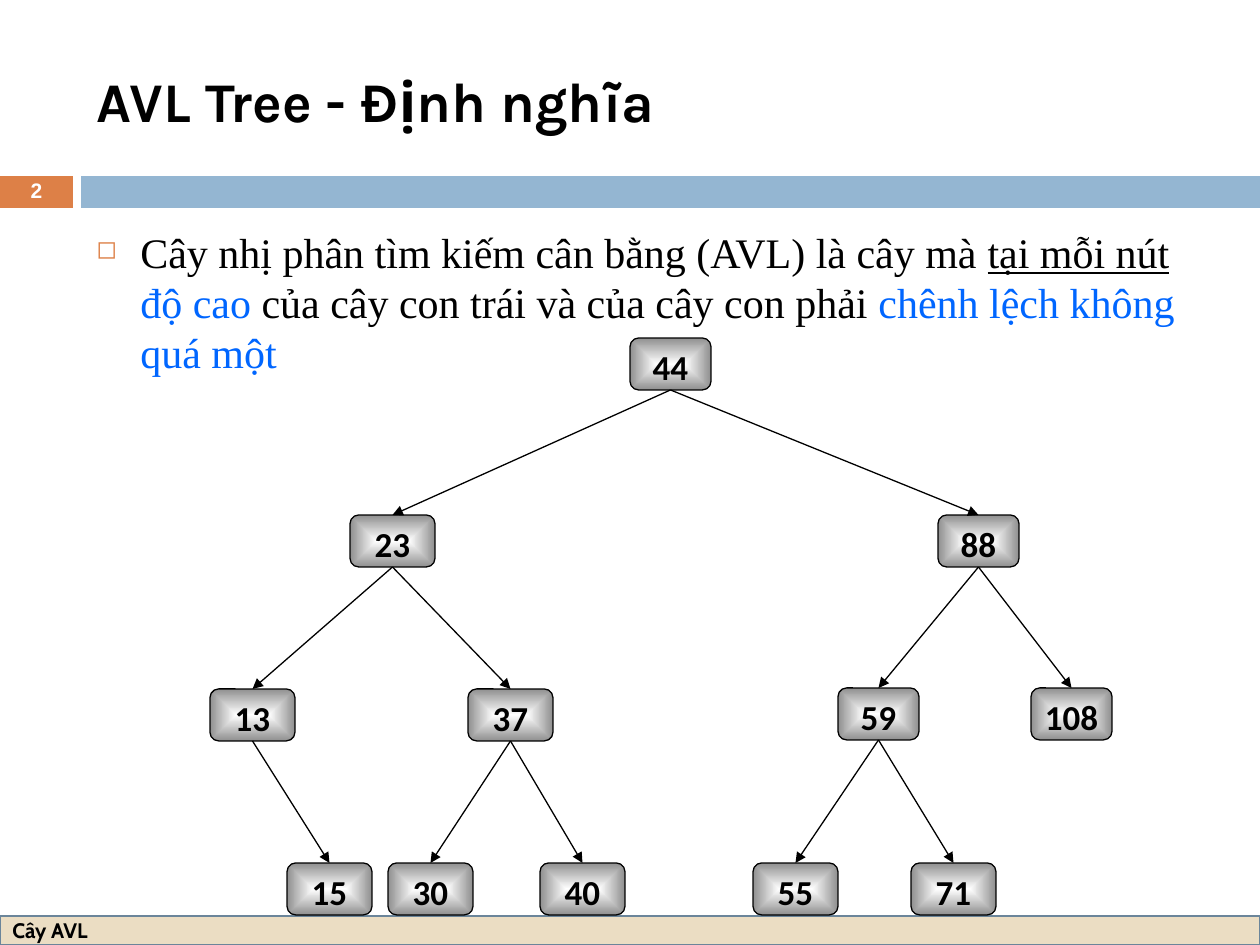
from dataclasses import dataclass

from lxml import etree
from pptx import Presentation, util as u
from pptx.dml.color import RGBColor
from pptx.enum import shapes, text
from pptx.oxml.ns import qn


@dataclass(frozen=True)
class Theme:
    """Colours, fonts and type sizes of the deck."""
    orange: str = "DD8047"
    blue: str = "94B6D2"
    sand: str = "EBDDC3"
    sand_edge: str = "6B859A"
    ink: str = "000000"
    accent: str = "0066FF"
    white: str = "FFFFFF"
    node_edge: str = "8F8F8F"
    title: tuple = ("Karla", 32, True)
    body: tuple = ("Times New Roman", 24, False)
    node: tuple = ("Calibri", 20, True)
    footer: tuple = ("Cabin", 12, True)
    number: tuple = ("Arial", 12, True)


THEME = Theme()
SCALE = 914400 / 126
NODE_HEIGHT = 52
NODES = {
    "44": (630, 338, 81),
    "23": (350, 515, 85), "88": (938, 515, 81),
    "13": (210, 689, 85), "37": (468, 689, 85),
    "59": (838, 688, 81), "108": (1031, 688, 81),
    "15": (287, 863, 85), "30": (388, 863, 85), "40": (540, 863, 85),
    "55": (753, 863, 85), "71": (911, 863, 85),
}
CHILDREN = {
    "44": ("23", "88"), "23": ("13", "37"), "88": ("59", "108"),
    "13": ("15",), "37": ("30", "40"), "59": ("55", "71"),
}
DEFINITION = [
    ("Cây nhị phân tìm kiếm cân bằng (AVL) là cây mà ", THEME.ink, False),
    ("tại mỗi nút", THEME.ink, True),
    (" ", THEME.ink, False),
    ("độ cao ", THEME.accent, False),
    ("của cây con trái và của cây con phải ", THEME.ink, False),
    ("chênh lệch không quá một", THEME.accent, False),
]


def px(*lengths):
    """Turn pixel lengths into EMU."""
    return [u.Emu(round(length * SCALE)) for length in lengths]


def rgb(color):
    """Return the colour object of a hex string."""
    return RGBColor.from_string(color)


def add_run(paragraph, words, style, color, underline=False):
    """Add one styled run to a paragraph."""
    run = paragraph.add_run()
    run.text = words
    run.font.name, size, run.font.bold = style
    run.font.size = u.Pt(size)
    run.font.color.rgb = rgb(color)
    if underline:
        run.font.underline = True


def add_block(slide, box, fill=None, edge=None, weight=0.75,
              kind=shapes.MSO_SHAPE.RECTANGLE):
    """Add a flat preset shape with an optional fill and outline."""
    block = slide.shapes.add_shape(kind, *px(*box))
    block.shadow.inherit = False
    if fill:
        block.fill.solid()
        block.fill.fore_color.rgb = rgb(fill)
    if edge:
        block.line.color.rgb = rgb(edge)
        block.line.width = u.Pt(weight)
    else:
        block.line.fill.background()
    return block


def add_title(slide, box, words):
    """Place the title placeholder and fill it."""
    title = slide.shapes.title
    title.left, title.top, title.width, title.height = px(*box)
    title.text_frame.vertical_anchor = text.MSO_ANCHOR.MIDDLE
    heading = title.text_frame.paragraphs[0]
    heading.alignment = text.PP_ALIGN.LEFT
    add_run(heading, words, THEME.title, THEME.ink)


def add_number_band(slide, box, number):
    """Draw the coloured band with the slide number at its left."""
    left, top, width, height = box
    tab, gap = 73, 8
    add_block(slide, (left, top, tab, height), THEME.orange)
    add_block(slide, (left + tab + gap, top, width - tab - gap, height), THEME.blue)
    label = slide.shapes.add_textbox(*px(left, top - 1, tab, height + 2)).text_frame
    label.word_wrap = True
    label.vertical_anchor = text.MSO_ANCHOR.MIDDLE
    label.paragraphs[0].alignment = text.PP_ALIGN.CENTER
    label.paragraphs[0].line_spacing = 0.8
    add_run(label.paragraphs[0], number, THEME.number, THEME.white)


def add_footer(slide, box, words):
    """Draw the footer strip with its label."""
    footer = add_block(slide, box, THEME.sand, THEME.sand_edge, 1.5).text_frame
    footer.vertical_anchor = text.MSO_ANCHOR.MIDDLE
    footer.paragraphs[0].alignment = text.PP_ALIGN.LEFT
    add_run(footer.paragraphs[0], words, THEME.footer, THEME.ink)


def add_definition(slide, box, parts):
    """Write the bulleted definition."""
    frame = slide.shapes.add_textbox(*px(*box)).text_frame
    frame.word_wrap = True
    definition = frame.paragraphs[0]
    definition.space_before = u.Pt(7)
    props = definition._p.get_or_add_pPr()
    indent = px(44)[0]
    props.set("marL", str(indent))
    props.set("indent", str(-indent))
    bullet_color = etree.SubElement(props, qn("a:buClr"))
    etree.SubElement(bullet_color, qn("a:srgbClr"), val=THEME.orange)
    etree.SubElement(props, qn("a:buSzPct"), val="60000")
    etree.SubElement(props, qn("a:buChar"), char="◻")
    for words, color, underline in parts:
        add_run(definition, words, THEME.body, color, underline)


def add_node(slide, box, key):
    """Draw one tree node with a gradient that darkens from its centre."""
    node = add_block(slide, box, edge=THEME.ink, kind=shapes.MSO_SHAPE.ROUNDED_RECTANGLE)
    node.fill.gradient()
    for stop, color, position in zip(node.fill.gradient_stops,
                                     (THEME.white, THEME.node_edge), (0, 1)):
        stop.color.rgb = rgb(color)
        stop.position = position
    gradient = node._element.spPr.find(qn("a:gradFill"))
    gradient.remove(gradient.find(qn("a:lin")))
    focus = etree.SubElement(gradient, qn("a:path"), path="rect")
    etree.SubElement(focus, qn("a:fillToRect"),
                     {side: "50000" for side in "ltrb"})
    frame = node.text_frame
    frame.margin_left = frame.margin_right = frame.margin_top = frame.margin_bottom = 0
    frame.vertical_anchor = text.MSO_ANCHOR.TOP
    frame.paragraphs[0].alignment = text.PP_ALIGN.CENTER
    frame.paragraphs[0].line_spacing = 1.13
    add_run(frame.paragraphs[0], key, THEME.node, THEME.ink)
    return node


def add_branch(slide, parent, child):
    """Join a parent's bottom to a child's top with an arrow."""
    branch = slide.shapes.add_connector(shapes.MSO_CONNECTOR.STRAIGHT, 0, 0, 0, 0)
    branch.begin_connect(parent, 2)
    branch.end_connect(child, 0)
    branch.line.color.rgb = rgb(THEME.ink)
    branch.line.width = u.Pt(0.75)
    etree.SubElement(branch.line._get_or_add_ln(), qn("a:tailEnd"), type="triangle")
    etree.SubElement(branch._element.spPr, qn("a:effectLst"))


def add_tree(slide, origin, places, children):
    """Draw the nodes relative to the origin and the branches between them."""
    left, top = origin
    nodes = {key: add_node(slide, (left + x, top + y, width, NODE_HEIGHT), key)
             for key, (x, y, width) in places.items()}
    for parent, keys in children.items():
        for key in keys:
            add_branch(slide, nodes[parent], nodes[key])


def main():
    """Build the slide and save it."""
    deck = Presentation()
    deck.slide_width, deck.slide_height = px(1260, 945)
    slide = deck.slides.add_slide(deck.slide_layouts[5])
    add_number_band(slide, (0, 176, 1260, 32), "2")
    add_footer(slide, (0, 916, 1260, 29), "Cây AVL")
    add_title(slide, (84, 32, 1124, 136), "AVL Tree - Định nghĩa")
    add_definition(slide, (84, 220, 1124, 620), DEFINITION)
    add_tree(slide, (0, 0), NODES, CHILDREN)
    deck.save("out.pptx")


if __name__ == "__main__":
    main()
